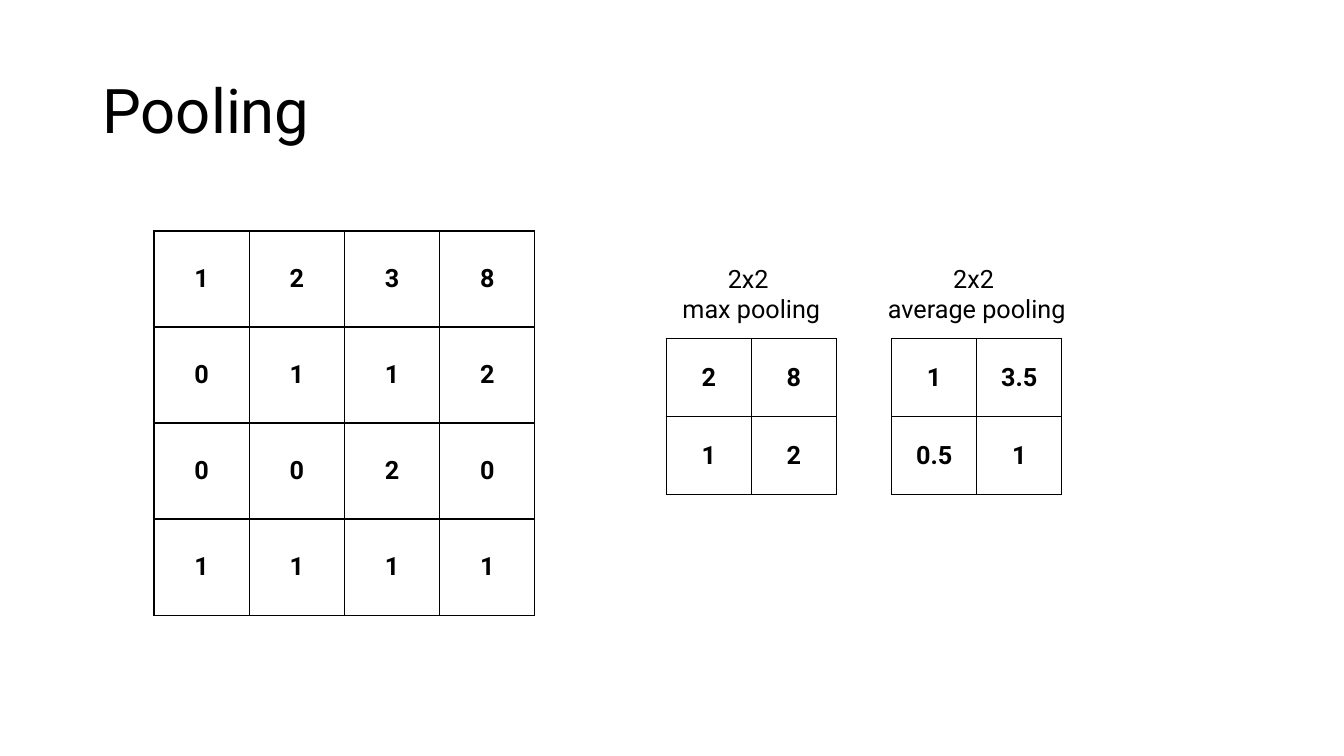
from lxml import etree
from pptx import Presentation
from pptx.dml.color import RGBColor
from pptx.enum.text import MSO_ANCHOR, PP_ALIGN
from pptx.oxml.ns import qn
from pptx.util import Cm, Pt

MIDDLE, TOP = MSO_ANCHOR.MIDDLE, MSO_ANCHOR.TOP
CENTER, LEFT = PP_ALIGN.CENTER, PP_ALIGN.LEFT
BLACK, WHITE = "000000", "FFFFFF"
FONT = "Roboto"
BODY = {"name": FONT, "size": Pt(18), "bold": False}
TITLE = {**BODY, "size": Pt(44)}
NUMBER = {**BODY, "bold": True}

INPUT = [[1, 2, 3, 8], [0, 1, 1, 2], [0, 0, 2, 0], [1, 1, 1, 1]]
POOLED = [
    ("max pooling", [[2, 8], [1, 2]]),
    ("average pooling", [[1, 3.5], [0.5, 1]]),
]


def color(value):
    return RGBColor.from_string(value)


def write(para, text, style, align):
    para.alignment = align
    span = para.add_run()
    span.text = text
    for name, value in style.items():
        setattr(span.font, name, value)
    span.font.color.rgb = color(BLACK)


def add_text(page, box, lines, style, align, anchor, spacing=1.0):
    frame = page.shapes.add_textbox(*map(Cm, box)).text_frame
    frame.word_wrap = True
    frame.vertical_anchor = anchor
    for index, line in enumerate(lines):
        para = frame.add_paragraph() if index else frame.paragraphs[0]
        para.line_spacing = spacing
        write(para, line, style, align)


def outline(cell):
    properties = cell._tc.get_or_add_tcPr()
    for index, side in enumerate(("a:lnL", "a:lnR", "a:lnT", "a:lnB")):
        border = etree.Element(qn(side), w=str(Pt(1)))
        fill = etree.SubElement(border, qn("a:solidFill"))
        etree.SubElement(fill, qn("a:srgbClr"), val=BLACK)
        properties.insert(index, border)


def add_matrix(page, box, values):
    rows, columns = len(values), len(values[0])
    left, top, width, height = map(Cm, box)
    table = page.shapes.add_table(rows, columns, left, top, width, height).table
    table.first_row = table.horz_banding = False
    for column in table.columns:
        column.width = width // columns
    for row, numbers in zip(table.rows, values):
        row.height = height // rows
        for cell, number in zip(row.cells, numbers):
            cell.fill.solid()
            cell.fill.fore_color.rgb = color(WHITE)
            cell.vertical_anchor = MIDDLE
            write(cell.text_frame.paragraphs[0], str(number), NUMBER, CENTER)
            outline(cell)


def add_pooled(page, box, label, values):
    left, top, width, height = box
    label_box = (left - 0.38, top - 2.03, width + 0.76, 1.8)
    add_matrix(page, box, values)
    add_text(page, label_box, ["2x2 ", label], BODY, CENTER, TOP)


def build_pooling(page):
    add_text(page, (2.33, 1.01, 29.21, 3.68), ["Pooling"], TITLE, LEFT, MIDDLE, 0.9)
    add_matrix(page, (3.88, 5.82, 9.6, 9.68), INPUT)
    for index, (label, values) in enumerate(POOLED):
        add_pooled(page, (16.79 + 5.68 * index, 8.53, 4.29, 3.94), label, values)


def main():
    deck = Presentation()
    deck.slide_width, deck.slide_height = Cm(33.87), Cm(19.05)
    page = deck.slides.add_slide(deck.slide_layouts[6])
    build_pooling(page)
    deck.save("out.pptx")


if __name__ == "__main__":
    main()
